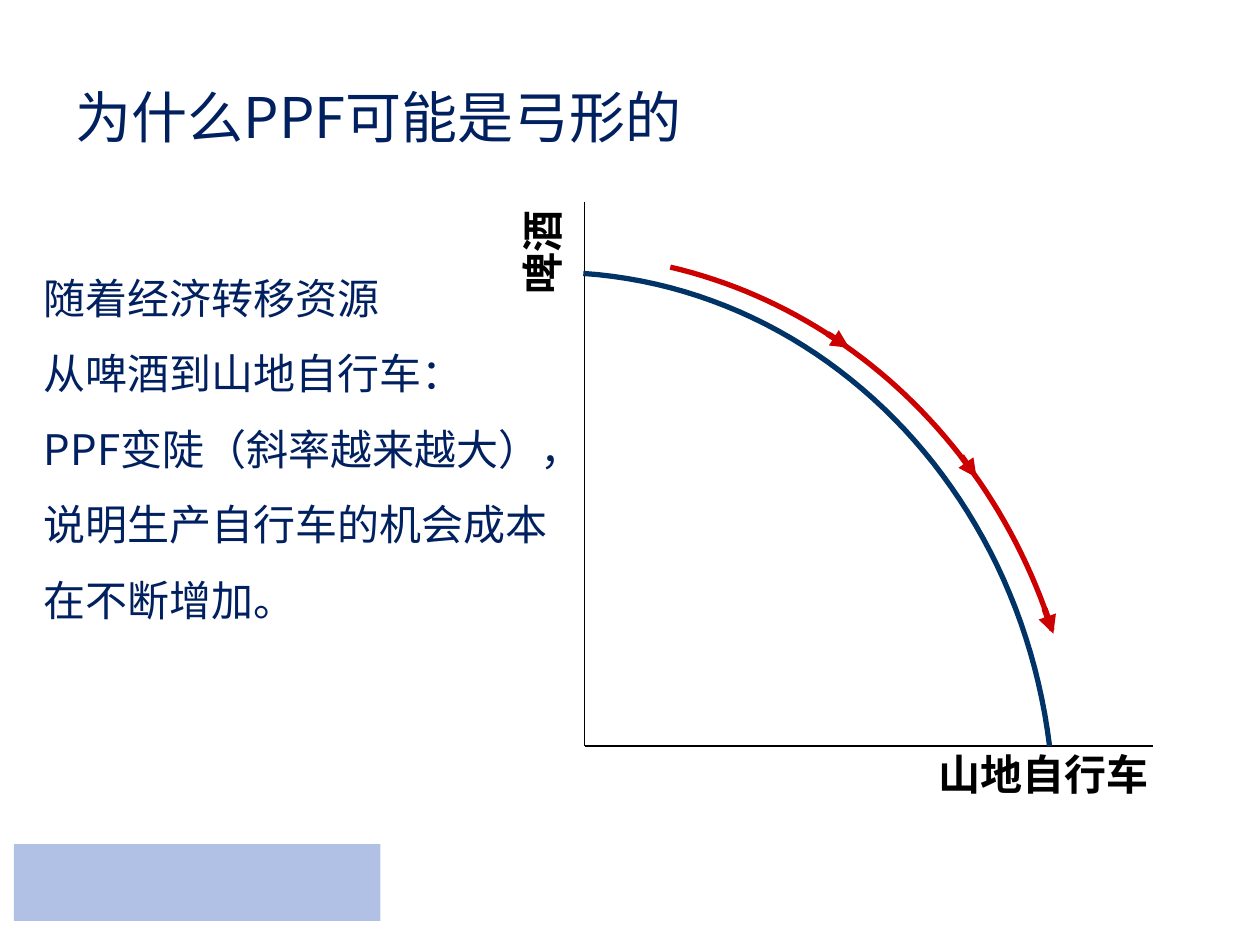
from lxml.etree import SubElement
from pptx import Presentation
from pptx.dml.color import RGBColor
from pptx.enum.shapes import MSO_CONNECTOR, MSO_SHAPE
from pptx.enum.text import MSO_ANCHOR, PP_ALIGN
from pptx.oxml.ns import qn
from pptx.util import Inches, Pt

NAVY, CURVE, RED, BLACK, PALE = "002060", "003366", "CC0000", "000000", "B1C1E5"
CHINESE_FONT = "Noto Sans CJK SC"


def color(value):
    """Turn a hex string into a colour."""
    return RGBColor.from_string(value)


def add_text(page, box, lines, font, size, ink, bold=False, align=PP_ALIGN.LEFT,
             anchor=MSO_ANCHOR.TOP, spacing=1.0):
    """Add a wrapped text box with one paragraph per line."""
    shape = page.shapes.add_textbox(*map(Inches, box))
    frame = shape.text_frame
    frame.word_wrap = True
    frame.vertical_anchor = anchor
    frame.text = "\n".join(lines)
    for para in frame.paragraphs:
        para.alignment = align
        para.line_spacing = spacing
        for span in para.runs:
            span.font.name = font
            span.font.size = Pt(size)
            span.font.bold = bold
            span.font.color.rgb = color(ink)
            SubElement(span.font._element, qn("a:ea"), typeface=font)
    return shape


def add_line(page, start, end, ink, width, arrow=False):
    """Draw a straight line, with an arrowhead at its end if asked."""
    line = page.shapes.add_connector(
        MSO_CONNECTOR.STRAIGHT, *map(Inches, (*start, *end)))
    line.line.color.rgb = color(ink)
    line.line.width = Pt(width)
    if arrow:
        SubElement(line.line._get_or_add_ln(), qn("a:tailEnd"), type="triangle")
    SubElement(line._element.spPr, qn("a:effectLst"))


def bezier_point(controls, t):
    """Return the point at t on a cubic Bezier curve."""
    weights = ((1 - t) ** 3, 3 * t * (1 - t) ** 2, 3 * t ** 2 * (1 - t), t ** 3)
    return tuple(Inches(sum(w * point[axis] for w, point in zip(weights, controls)))
                 for axis in (0, 1))


def add_curve(page, controls, ink, width, steps=48):
    """Draw an open curve through points of a cubic Bezier."""
    points = [bezier_point(controls, step / steps) for step in range(steps + 1)]
    builder = page.shapes.build_freeform(*points[0], scale=1.0)
    builder.add_line_segments(points[1:], close=False)
    curve = builder.convert_to_shape()
    curve.shadow.inherit = False
    curve.fill.background()
    curve.line.color.rgb = color(ink)
    curve.line.width = Pt(width)


def add_footer_block(page, box):
    """Add the pale block at the foot of the page."""
    block = page.shapes.add_shape(MSO_SHAPE.RECTANGLE, *map(Inches, box))
    block.shadow.inherit = False
    block.fill.solid()
    block.fill.fore_color.rgb = color(PALE)
    block.line.fill.background()


def add_title(page, box):
    """Add the page title."""
    add_text(page, box, ["为什么PPF可能是弓形的"], CHINESE_FONT, 32, NAVY,
             anchor=MSO_ANCHOR.MIDDLE)


def add_explanation(page, box):
    """Add the explanation beside the graph."""
    lines = ["随着经济转移资源\v从啤酒到山地自行车：",
             "PPF变陡（斜率越来越大），",
             "说明生产自行车的机会成本在不断增加。"]
    add_text(page, box, lines, CHINESE_FONT, 24, NAVY, spacing=1.5)


def add_graph(page, box):
    """Add the axes, the frontier and the arrows that run along it."""
    left, top, width, height = box
    right, bottom = left + width, top + height

    def at(*offsets):
        """Shift offsets within the graph to places on the page."""
        return [(left + x, top + y) for x, y in offsets]

    add_line(page, (left, top), (left, bottom), BLACK, 0.75)
    add_line(page, (left, bottom), (right, bottom), BLACK, 0.75)
    label = dict(font="Arial", size=24, ink=BLACK, bold=True, align=PP_ALIGN.RIGHT)
    add_text(page, (right - 2.14, bottom - 0.03, 2.2, 0.51), ["山地自行车"], **label)
    beer = add_text(page, (left - 1.13, top + 0.51, 1.58, 0.5), ["啤酒"], **label)
    beer.rotation = 270

    frontier = at((-0.01, 0.57), (1.89, 0.7), (3.44, 2.27), (3.69, 4.32))
    movement = at((0.68, 0.52), (2.09, 0.85), (3.24, 1.94), (3.71, 3.4))
    add_curve(page, frontier, CURVE, 3)
    add_curve(page, movement, RED, 3)
    arrows = [((1.93, 1.05), (2.1, 1.16)),
              ((2.99, 2.02), (3.11, 2.19)),
              ((3.65, 3.23), (3.72, 3.43))]
    for arrow in arrows:
        add_line(page, *at(*arrow), RED, 3.5, arrow=True)


def main():
    """Build and save the deck."""
    deck = Presentation()
    deck.slide_width, deck.slide_height = Inches(10), Inches(7.5)
    page = deck.slides.add_slide(deck.slide_layouts[6])
    add_footer_block(page, (0.11, 6.7, 2.91, 0.61))
    add_title(page, (0.5, 0.3, 9, 1.25))
    add_explanation(page, (0.25, 1.91, 4.21, 3.43))
    add_graph(page, (4.64, 1.6, 4.51, 4.32))
    deck.save("out.pptx")


if __name__ == "__main__":
    main()
